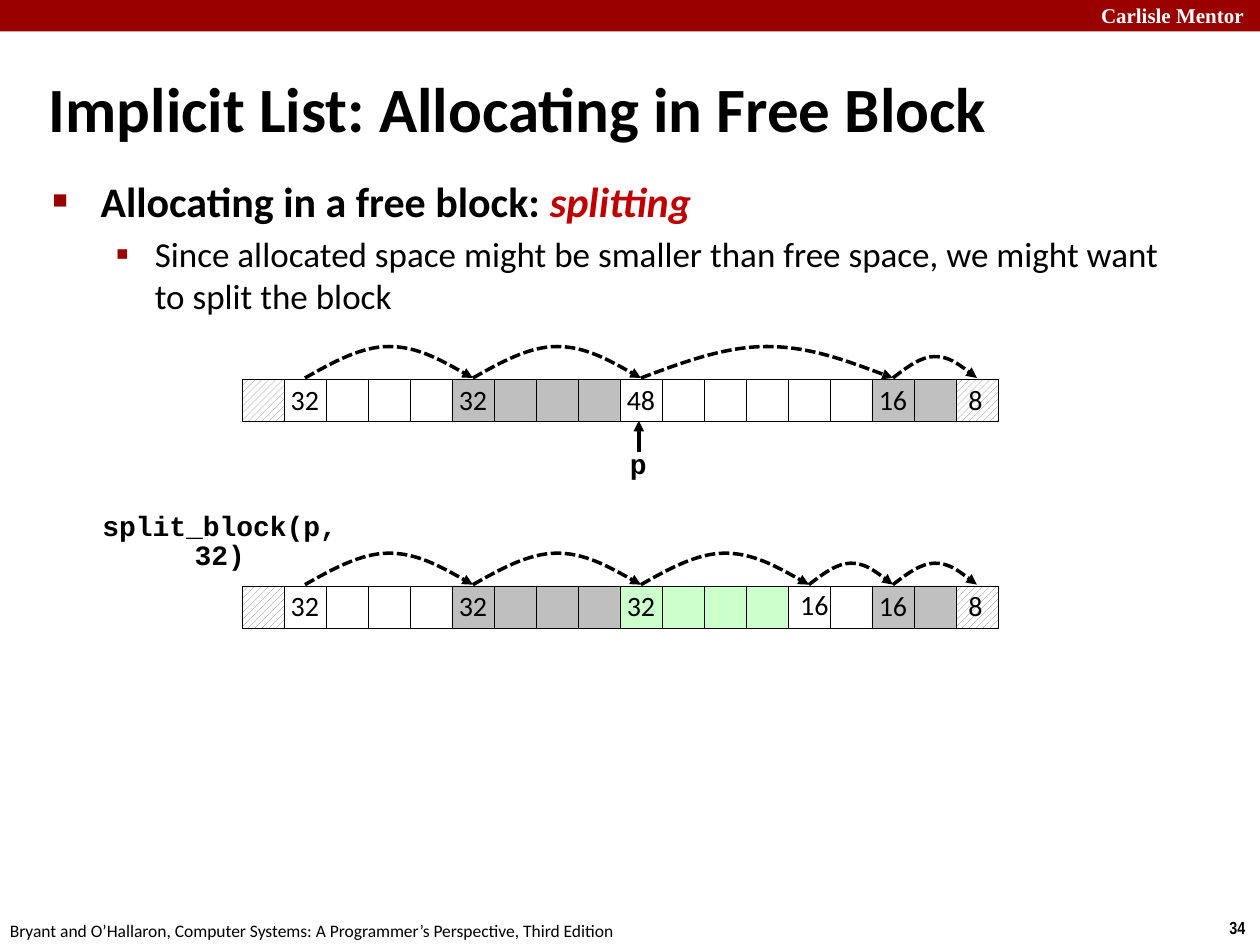
"""Build the slide on splitting a free block in an implicit list."""
from lxml.etree import SubElement
from pptx import Presentation
from pptx.dml.color import RGBColor
from pptx.enum.dml import MSO_LINE as Dash, MSO_PATTERN as Pattern
from pptx.enum.shapes import MSO_CONNECTOR as Connector, MSO_SHAPE as Shape
from pptx.enum.text import MSO_ANCHOR as Anchor, PP_ALIGN as Align
from pptx.oxml.ns import qn
from pptx.util import Inches, Pt

rgb = RGBColor.from_string
CELL = 1 / 3
LIST_LEFT = 1.92


def write(shape, text, size, font="Calibri", color="000000", bold=False,
          align=Align.LEFT, anchor=Anchor.TOP, spacing=None):
    """Write one unwrapped line of text into a shape."""
    frame = shape.text_frame
    frame.word_wrap = False
    frame.vertical_anchor = anchor
    paragraph = frame.paragraphs[0]
    paragraph.text = text
    paragraph.alignment = align
    paragraph.line_spacing = spacing
    paragraph.font.name = font
    paragraph.font.size = Pt(size)
    paragraph.font.bold = bold
    paragraph.font.color.rgb = rgb(color)


def add_arc(left, base, width, height):
    """Draw a curved hop from one block header to the next."""
    curve = [(1 / 6, 0.5), (1 / 3, 1), (0.5, 1), (2 / 3, 1), (5 / 6, 0.5), (1, 0)]
    builder = slide.shapes.build_freeform(Inches(left), Inches(base))
    builder.add_line_segments(
        [(Inches(left + x * width), Inches(base - y * height)) for x, y in curve],
        close=False)
    arc = builder.convert_to_shape()
    arc.shadow.inherit = False
    arc.fill.background()
    arc.line.dash_style = Dash.SQUARE_DOT
    outline = next(arc._element.iter(qn("a:path")))
    segments = outline.findall(qn("a:lnTo"))
    for start in (0, 3):
        bezier = SubElement(outline, qn("a:cubicBezTo"))
        for segment in segments[start:start + 3]:
            bezier.append(segment[0])
            outline.remove(segment)
    return arc


presentation = Presentation()
presentation.slide_width = Inches(10)
presentation.slide_height = Inches(7.5)
slide = presentation.slides.add_slide(presentation.slide_layouts[6])

banner = slide.shapes.add_shape(Shape.RECTANGLE, 0, 0, Inches(10), Inches(0.25))
banner.shadow.inherit = False
banner.fill.solid()
banner.fill.fore_color.rgb = rgb("990000")
banner.line.fill.background()

labels = [
    ((8.64, -0.03, 1.43, 0.3), "Carlisle Mentor",
     dict(size=12, font="Times New Roman", color="FFFFFF", bold=True)),
    ((9.66, 7.23, 0.34, 0.27), "34", dict(size=10, font="Arial Narrow", bold=True)),
    ((-0.02, 7.25, 5.08, 0.27),
     "Bryant and O’Hallaron, Computer Systems: A Programmer’s Perspective, Third Edition",
     dict(size=10)),
    ((0.29, 0.54, 9.42, 0.63), "Implicit List: Allocating in Free Block",
     dict(size=36, bold=True, anchor=Anchor.MIDDLE)),
    ((4.9, 3.51, 0.32, 0.37), "p",
     dict(size=16, font="Courier New", bold=True, spacing=0.98)),
    ((0.48, 4.03, 2.53, 0.34), "split_block(p, 32)",
     dict(size=16, font="Courier New", bold=True, align=Align.CENTER, spacing=0.85)),
]
for box, text, style in labels:
    write(slide.shapes.add_textbox(*map(Inches, box)), text, **style)

body = slide.shapes.add_textbox(Inches(0.32), Inches(1.34), Inches(9.09), Inches(1.3))
body.text_frame.word_wrap = True
bullets = [
    ([("Allocating in a free block: ", "000000", False), ("splitting", "C00000", True)],
     24, True, 0.38, -0.38, "■", 60),
    ([("Since allocated space might be smaller than free space, "
       "we might want to split the block", "000000", False)],
     20, False, 0.81, -0.31, "▪", 110),
]
for index, (runs, size, bold, margin, indent, mark, percent) in enumerate(bullets):
    paragraph = body.text_frame.add_paragraph() if index else body.text_frame.paragraphs[0]
    paragraph.space_before = Pt(size * 0.2)
    paragraph.font.name = "Calibri"
    paragraph.font.size = Pt(size)
    paragraph.font.bold = bold
    for text, color, italic in runs:
        run = paragraph.add_run()
        run.text = text
        run.font.color.rgb = rgb(color)
        run.font.italic = italic
    properties = paragraph._p.get_or_add_pPr()
    properties.set("marL", str(Inches(margin)))
    properties.set("indent", str(Inches(indent)))
    bullet_color = SubElement(properties, qn("a:buClr"))
    SubElement(bullet_color, qn("a:srgbClr"), val="990000")
    SubElement(properties, qn("a:buSzPct"), val=str(percent * 1000))
    SubElement(properties, qn("a:buFont"), typeface="Arial")
    SubElement(properties, qn("a:buChar"), char=mark)
    properties.append(properties.find(qn("a:defRPr")))

before = [("", 1, None), ("32", 4, "FFFFFF"), ("32", 4, "BFBFBF"),
          ("48", 6, "FFFFFF"), ("16", 2, "C0C0C0"), ("8", 1, None)]
after = before[:3] + [("32", 4, "CCFFCC"), ("16", 2, "FFFFFF")] + before[4:]
arrows = []
for top, blocks in ((3.01, before), (4.65, after)):
    column = 0
    for label, count, color in blocks:
        left = LIST_LEFT + column * CELL
        for offset in range(count):
            cell = slide.shapes.add_shape(
                Shape.RECTANGLE, Inches(left + offset * CELL), Inches(top),
                Inches(CELL), Inches(CELL))
            cell.shadow.inherit = False
            cell.line.color.rgb = rgb("000000")
            cell.line.width = Pt(0.25)
            if color:
                cell.fill.solid()
                cell.fill.fore_color.rgb = rgb(color)
            else:
                cell.fill.patterned()
                cell.fill.pattern = Pattern.WIDE_UPWARD_DIAGONAL
                cell.fill.fore_color.rgb = rgb("808080")
                cell.fill.back_color.rgb = rgb("FFFFFF")
            if label and offset == 0 and (label, color) != ("16", "FFFFFF"):
                write(cell, label, 16, align=Align.CENTER if color else Align.LEFT,
                      anchor=Anchor.MIDDLE, spacing=0.98)
        if (label, color) == ("16", "FFFFFF"):
            box = slide.shapes.add_textbox(
                Inches(left), Inches(top - 0.02), Inches(0.43), Inches(0.37))
            write(box, label, 16, spacing=0.98)
        if count > 1:
            arrows.append(add_arc(left + CELL / 2, top - 0.01, count * CELL,
                                  0.25 if count > 2 else 0.17))
        column += count

pointer = slide.shapes.add_connector(
    Connector.STRAIGHT, Inches(5.07), Inches(3.59), Inches(5.07), Inches(3.34))
SubElement(pointer._element.spPr, qn("a:effectLst"))
for arrow in arrows + [pointer]:
    arrow.line.color.rgb = rgb("000000")
    arrow.line.width = Pt(2)
    SubElement(arrow.line._get_or_add_ln(), qn("a:tailEnd"), type="triangle")

# The pointer's line element must precede its effect list.
presentation.save("out.pptx")
